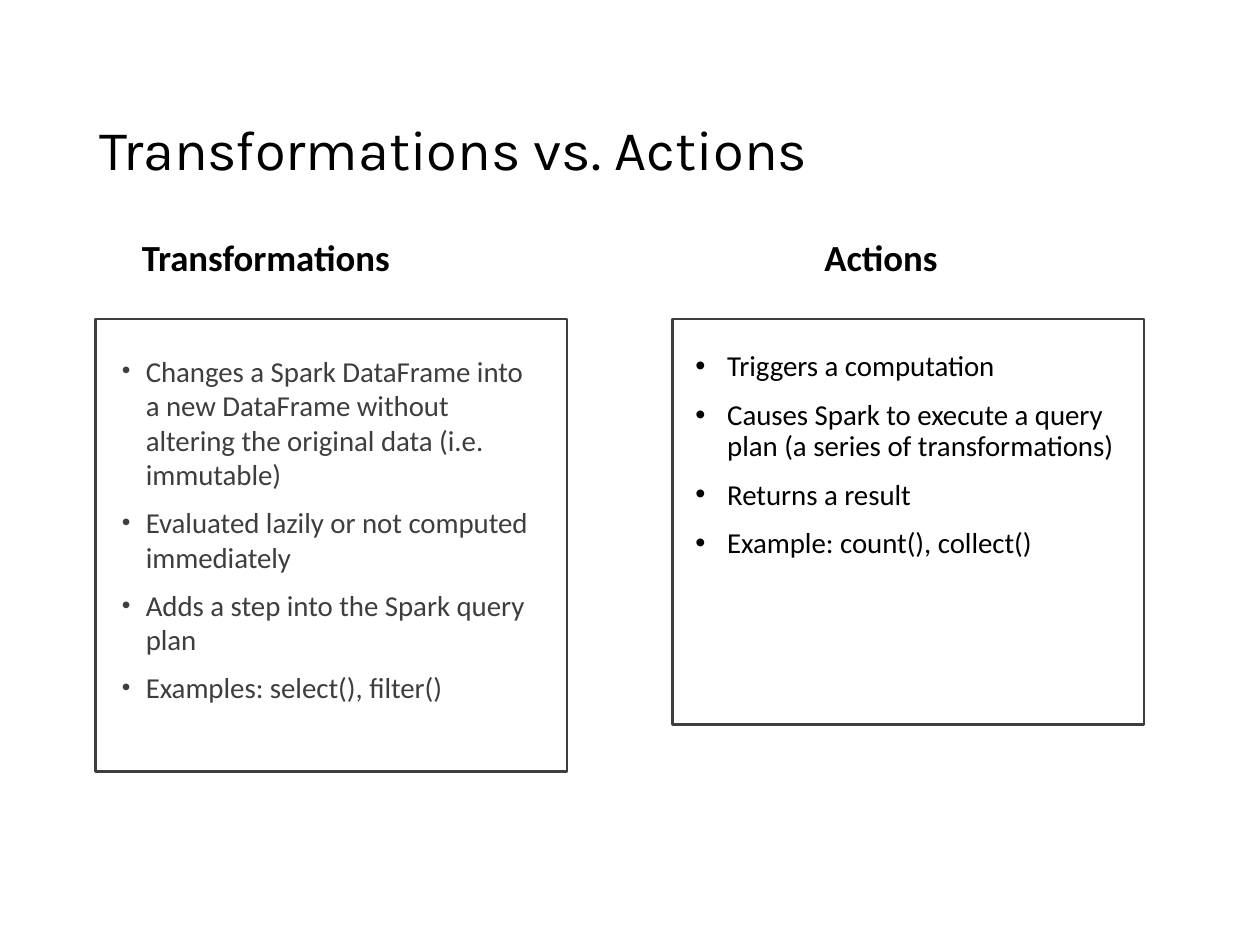
from lxml.etree import SubElement
from pptx import Presentation
from pptx.dml.color import RGBColor as Rgb
from pptx.enum.shapes import MSO_SHAPE as Shape
from pptx.enum.text import MSO_ANCHOR as Anchor, PP_ALIGN as Align
from pptx.oxml.ns import qn
from pptx.util import Cm, Pt

# Content
TITLE = "Transformations vs. Actions"
COLUMNS = [
    dict(
        heading="Transformations",
        points=[
            "Changes a Spark DataFrame into a new DataFrame without "
            "altering the original data (i.e. immutable)",
            "Evaluated lazily or not computed immediately",
            "Adds a step into the Spark query plan",
            "Examples: select(), filter()",
        ],
        frame_left=1.93, frame_height=9.12, heading_left=1.93,
        text_offset=0.28, text_height=8.1, insets=(0.25, 0.13),
        color="grey", indent=0.48, before=7.5, spacing=1.0, bullet_size=85,
    ),
    dict(
        heading="Actions",
        points=[
            "Triggers a computation",
            "Causes Spark to execute a query plan (a series of transformations)",
            "Returns a result",
            "Example: count(), collect()",
        ],
        frame_left=13.56, frame_height=8.18, heading_left=14.33,
        text_offset=0.28, text_height=7.47, insets=(0.18, 0.1),
        color="black", indent=0.64, before=10, spacing=0.9, bullet_size=100,
    ),
]

THEME = dict(
    black="000000", grey="3E3E3E",
    title_font="Karla", body_font="Calibri",
    title_size=32, heading_size=21, point_size=16.5, frame_line=1.5,
)

# Shared layout, in centimetres
HEADING_TOP, HEADING_WIDTH, HEADING_HEIGHT = 4.6, 6.86, 1.14
FRAME_TOP, FRAME_WIDTH = 6.43, 9.5
TEXT_TOP, TEXT_WIDTH = 6.99, 8.94


def add_box(slide, left, top, width, height, insets=(0.25, 0.13)):
    box = slide.shapes.add_textbox(Cm(left), Cm(top), Cm(width), Cm(height))
    frame = box.text_frame
    frame.word_wrap = True
    frame.margin_left = frame.margin_right = Cm(insets[0])
    frame.margin_top = frame.margin_bottom = Cm(insets[1])
    return frame


def add_run(paragraph, text, font, size, color, bold=False):
    run = paragraph.add_run()
    run.text = text
    run.font.name = THEME[font]
    run.font.size = Pt(THEME[size])
    run.font.bold = bold
    run.font.color.rgb = Rgb.from_string(THEME[color])


def set_bullet(paragraph, indent, color, size):
    props = paragraph._p.get_or_add_pPr()
    props.set("marL", str(Cm(indent)))
    props.set("indent", str(-Cm(indent)))
    bullet_color = SubElement(props, qn("a:buClr"))
    SubElement(bullet_color, qn("a:srgbClr"), val=THEME[color])
    SubElement(props, qn("a:buSzPct"), val=str(size * 1000))
    SubElement(props, qn("a:buFont"), typeface="Arial")
    SubElement(props, qn("a:buChar"), char="•")


def add_points(slide, column):
    body = add_box(slide, column["frame_left"] + column["text_offset"], TEXT_TOP,
                   TEXT_WIDTH, column["text_height"], column["insets"])
    for index, point in enumerate(column["points"]):
        paragraph = body.add_paragraph() if index else body.paragraphs[0]
        paragraph.line_spacing = column["spacing"]
        paragraph.space_before = Pt(column["before"])
        set_bullet(paragraph, column["indent"], column["color"], column["bullet_size"])
        add_run(paragraph, point, "body_font", "point_size", column["color"])


def add_frame(slide, column):
    frame = slide.shapes.add_shape(
        Shape.RECTANGLE, Cm(column["frame_left"]), Cm(FRAME_TOP),
        Cm(FRAME_WIDTH), Cm(column["frame_height"]))
    frame.shadow.inherit = False
    frame.fill.background()
    frame.line.color.rgb = Rgb.from_string(THEME["grey"])
    frame.line.width = Pt(THEME["frame_line"])


def add_heading(slide, column):
    heading = add_box(slide, column["heading_left"], HEADING_TOP,
                      HEADING_WIDTH, HEADING_HEIGHT).paragraphs[0]
    heading.alignment = Align.CENTER
    add_run(heading, column["heading"], "body_font", "heading_size", "black", bold=True)


def main():
    deck = Presentation()
    deck.slide_width, deck.slide_height = Cm(25.4), Cm(19.05)
    slide = deck.slides.add_slide(deck.slide_layouts[6])

    # Title
    title = add_box(slide, 1.75, 1.02, 21.89, 2.79)
    title.vertical_anchor = Anchor.BOTTOM
    title.paragraphs[0].line_spacing = 0.9
    add_run(title.paragraphs[0], TITLE, "title_font", "title_size", "black")

    # Points, then frames, then headings, from back to front
    for add_part in (add_points, add_frame, add_heading):
        for column in COLUMNS:
            add_part(slide, column)

    deck.save("out.pptx")


if __name__ == "__main__":
    main()
